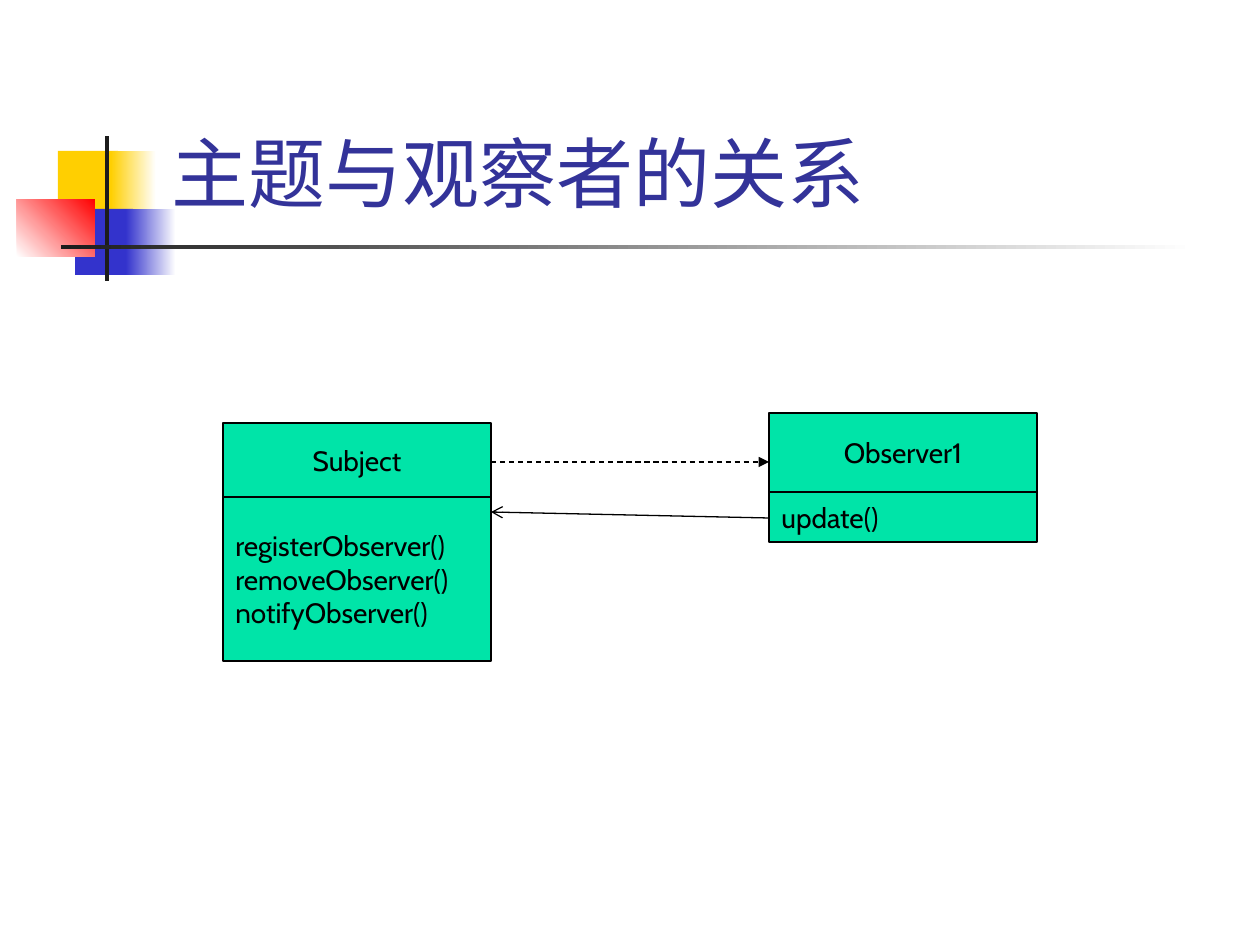
from typing import NamedTuple

from lxml import etree
from pptx import Presentation
from pptx.dml.color import RGBColor
from pptx.enum.dml import MSO_LINE
from pptx.enum.shapes import MSO_CONNECTOR, MSO_SHAPE
from pptx.enum.text import MSO_ANCHOR, PP_ALIGN
from pptx.oxml.ns import qn
from pptx.shapes.base import BaseShape
from pptx.shapes.shapetree import GroupShapes, SlideShapes
from pptx.text.text import TextFrame
from pptx.util import Emu, Pt

PX_PER_INCH = 126
FONT = "Cabin"
RECTANGLE = MSO_SHAPE.RECTANGLE
STRAIGHT = MSO_CONNECTOR.STRAIGHT
DASH = MSO_LINE.DASH
MIDDLE, BOTTOM = MSO_ANCHOR.MIDDLE, MSO_ANCHOR.BOTTOM
LEFT, CENTER = PP_ALIGN.LEFT, PP_ALIGN.CENTER

WHITE = RGBColor(0xFF, 0xFF, 0xFF)
BLACK = RGBColor(0x00, 0x00, 0x00)
CHARCOAL = RGBColor(0x1C, 0x1C, 0x1C)
YELLOW = RGBColor(0xFF, 0xCF, 0x01)
BLUE = RGBColor(0x33, 0x33, 0xCC)
RED = RGBColor(0xFF, 0x00, 0x00)
NAVY = RGBColor(0x33, 0x33, 0x99)
GREEN = RGBColor(0x00, 0xE4, 0xA8)


class Area(NamedTuple):
    left: int
    top: int
    width: int
    height: int


class Ornament(NamedTuple):
    area: Area
    color: RGBColor
    fade_to: RGBColor | None = None
    angle: int = 0


class UmlClass(NamedTuple):
    name: str
    methods: list[str]
    left: int
    top: int
    name_height: int
    methods_height: int
    width: int = 268


class Arrow(NamedTuple):
    start: tuple[int, int]
    end: tuple[int, int]
    head: str
    dashed: bool = False


ORNAMENTS = [
    Ornament(Area(58, 151, 60, 66), YELLOW),
    Ornament(Area(111, 151, 45, 66), YELLOW, WHITE),
    Ornament(Area(75, 209, 58, 66), BLUE),
    Ornament(Area(126, 209, 50, 66), BLUE, WHITE),
    Ornament(Area(17, 199, 78, 58), WHITE, RED, 45),
    Ornament(Area(105, 136, 4, 145), CHARCOAL),
    Ornament(Area(61, 245, 1134, 4), CHARCOAL, WHITE),
]
CLASSES = [
    UmlClass("Subject",
             ["registerObserver()", "removeObserver()", "notifyObserver()"],
             223, 423, 74, 164),
    UmlClass("Observer1", ["update()"], 769, 413, 79, 50),
]
ARROWS = [
    Arrow((491, 462), (769, 462), "triangle", dashed=True),
    Arrow((769, 518), (491, 512), "arrow"),
]


def px(length: int) -> Emu:
    return Emu(round(length * 914400 / PX_PER_INCH))


def add_rectangle(shapes: SlideShapes | GroupShapes, area: Area) -> BaseShape:
    box = shapes.add_shape(RECTANGLE, *map(px, area))
    box.shadow.inherit = False
    return box


def write_lines(frame: TextFrame, lines: list[str], size: int, color: RGBColor,
                align: PP_ALIGN, anchor: MSO_ANCHOR) -> None:
    frame.word_wrap = True
    frame.vertical_anchor = anchor
    frame.text = "\n".join(lines)
    for para in frame.paragraphs:
        para.alignment = align
        for span in para.runs:
            span.font.name = FONT
            span.font.size = Pt(size)
            span.font.color.rgb = color


def draw_ornament(shapes: SlideShapes, ornament: Ornament) -> None:
    box = add_rectangle(shapes, ornament.area)
    box.line.fill.background()
    if ornament.fade_to is None:
        box.fill.solid()
        box.fill.fore_color.rgb = ornament.color
        return
    box.fill.gradient()
    box.fill.gradient_angle = ornament.angle
    first, last = box.fill.gradient_stops
    first.color.rgb = ornament.color
    last.color.rgb = ornament.fade_to


def draw_compartment(shapes: GroupShapes, area: Area, lines: list[str],
                     align: PP_ALIGN) -> None:
    box = add_rectangle(shapes, area)
    box.fill.solid()
    box.fill.fore_color.rgb = GREEN
    box.line.color.rgb = BLACK
    box.line.width = Pt(0.75)
    write_lines(box.text_frame, lines, 16, BLACK, align, MIDDLE)


def draw_class(shapes: SlideShapes, uml: UmlClass) -> None:
    group = shapes.add_group_shape()
    name_area = Area(uml.left, uml.top, uml.width, uml.name_height)
    methods_area = Area(uml.left, uml.top + uml.name_height,
                        uml.width, uml.methods_height)
    draw_compartment(group.shapes, name_area, [uml.name], CENTER)
    draw_compartment(group.shapes, methods_area, uml.methods, LEFT)


def draw_arrow(shapes: SlideShapes, arrow: Arrow) -> None:
    line = shapes.add_connector(STRAIGHT, *map(px, arrow.start + arrow.end))
    line.line.color.rgb = BLACK
    line.line.width = Pt(0.75)
    if arrow.dashed:
        line.line.dash_style = DASH
    outline = line.line._get_or_add_ln()
    etree.SubElement(outline, qn("a:tailEnd"), type=arrow.head)
    etree.SubElement(line._element.spPr, qn("a:effectLst"))


def main() -> None:
    deck = Presentation()
    deck.slide_width, deck.slide_height = px(1260), px(945)
    page = deck.slides.add_slide(deck.slide_layouts[6])
    for ornament in ORNAMENTS:
        draw_ornament(page.shapes, ornament)
    title = page.shapes.add_textbox(*map(px, Area(159, 84, 1073, 140)))
    write_lines(title.text_frame, ["主题与观察者的关系"], 44, NAVY, LEFT, BOTTOM)
    for uml in CLASSES:
        draw_class(page.shapes, uml)
    for arrow in ARROWS:
        draw_arrow(page.shapes, arrow)
    deck.save("out.pptx")


if __name__ == "__main__":
    main()
